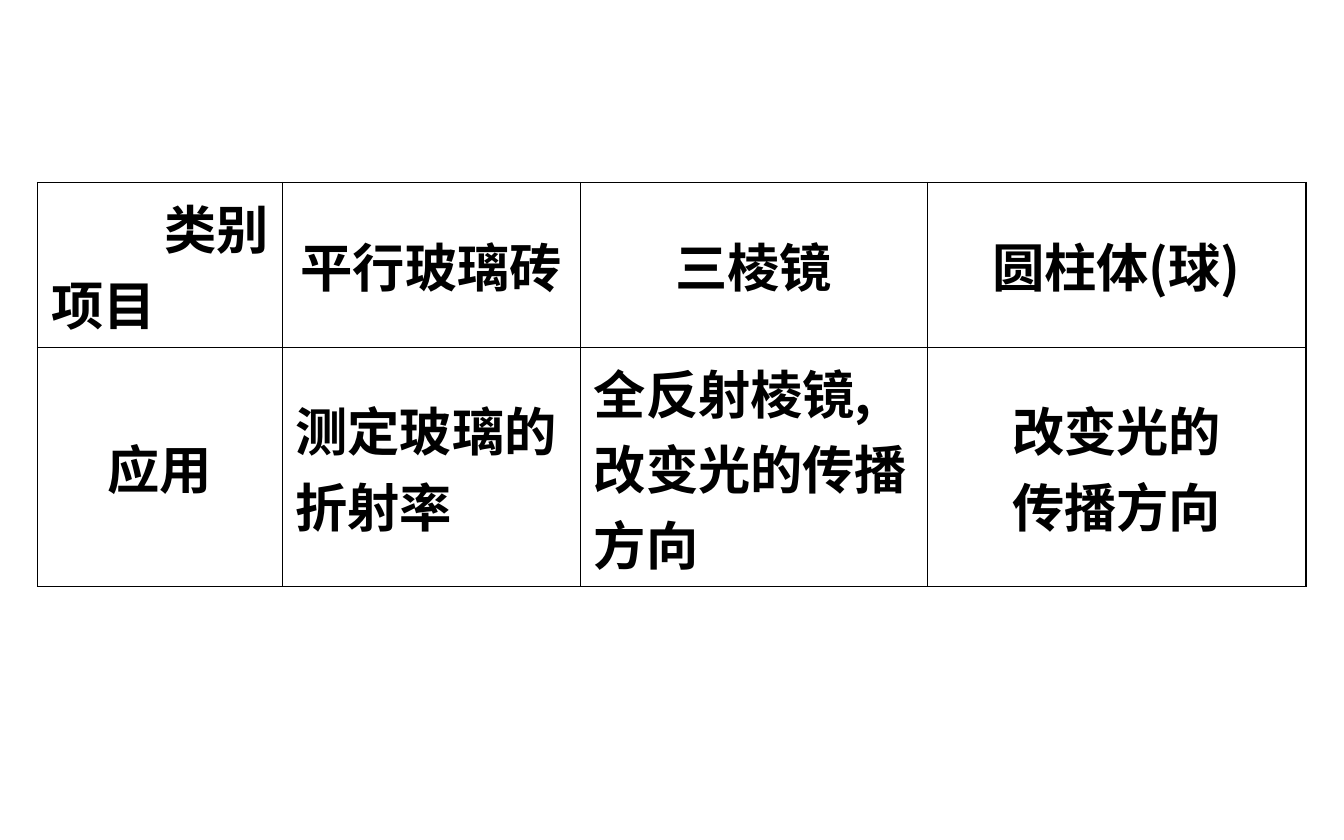
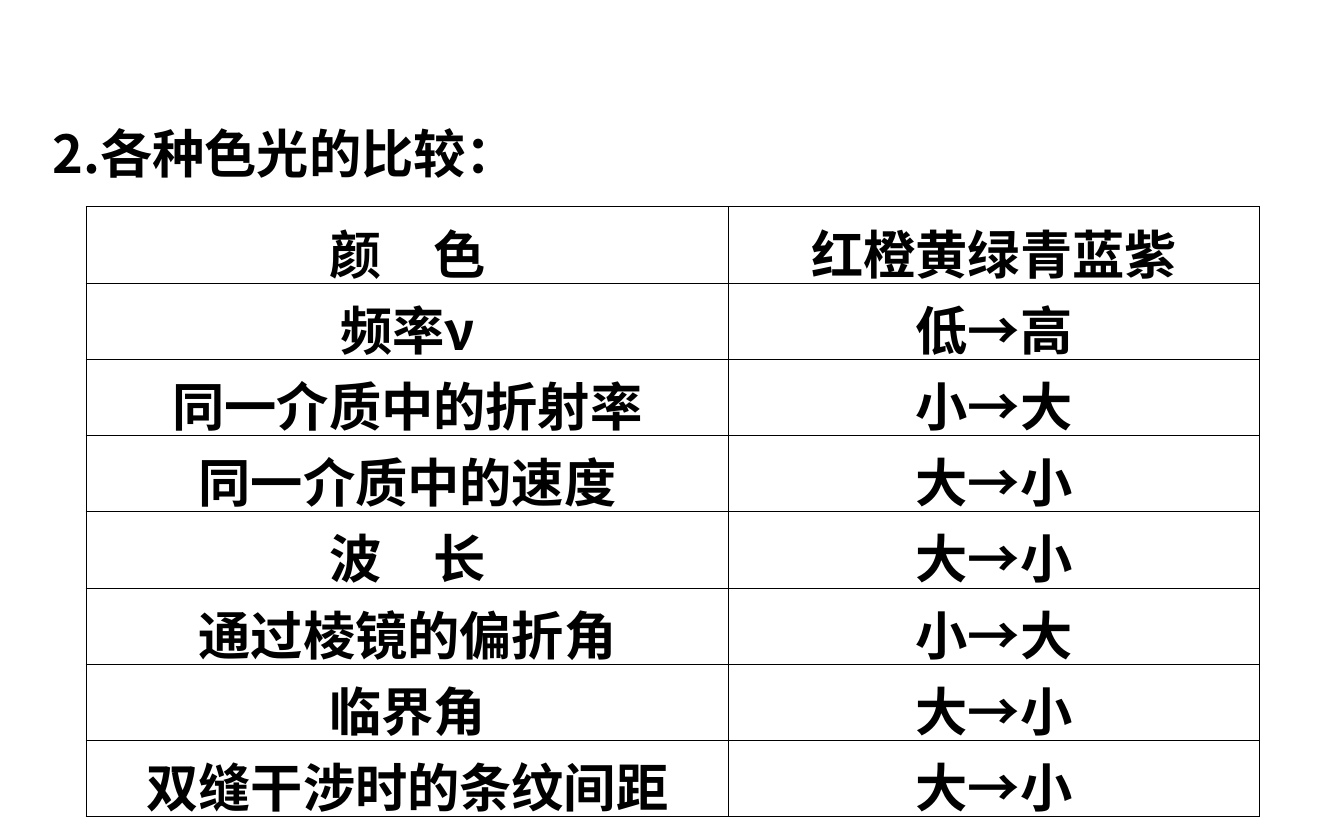
import pptx
import pptx.util
import pptx.dml.color
import pptx.enum.text
import pptx.oxml
import pptx.oxml.ns
import lxml.etree

Cm = pptx.util.Cm
Pt = pptx.util.Pt
ALIGN = pptx.enum.text.PP_ALIGN
ANCHOR = pptx.enum.text.MSO_ANCHOR

COLORS = {"ink": "000000"}
FONT = "Noto Sans CJK SC"
FONT_SIZE = 28
OUTER_LINE = 0.75
INNER_LINE = 0.45
TITLE_ONLY, BLANK = 5, 6

USES_BOX = (0.71, 3.45)
USES_COLUMNS = [4.62, 5.64, 6.55, 7.16]
USES_ROWS = [3.07, 4.45]
USES = [
    ["类别\n项目", "平行玻璃砖", "三棱镜", "圆柱体(球)"],
    ["应用", "测定玻璃的折射率", "全反射棱镜,改变光的传播方向", "改变光的\n传播方向"],
]
USES_ALIGN = {
    "类别": ALIGN.RIGHT,
    "项目": ALIGN.LEFT,
    "测定玻璃的折射率": ALIGN.LEFT,
    "全反射棱镜,改变光的传播方向": ALIGN.LEFT,
}

TITLE_BOX = (0.74, 1.57, 23.95, 2.03)
LIGHT_BOX = (1.63, 3.91)
LIGHT_COLUMNS = [12.14, 10.03]
LIGHT_ROW = 1.44
LIGHT = [
    ["颜　色", "红橙黄绿青蓝紫"],
    ["频率ν", "低→高"],
    ["同一介质中的折射率", "小→大"],
    ["同一介质中的速度", "大→小"],
    ["波　长", "大→小"],
    ["通过棱镜的偏折角", "小→大"],
    ["临界角", "大→小"],
    ["双缝干涉时的条纹间距", "大→小"],
]


def style_paragraph(para, alignment):
    para.alignment = alignment
    font = para.font
    font.name = FONT
    font.size = Pt(FONT_SIZE)
    font.bold = True
    font.color.rgb = pptx.dml.color.RGBColor.from_string(COLORS["ink"])
    properties = para._p.get_or_add_pPr().find(pptx.oxml.ns.qn("a:defRPr"))
    east_asian = lxml.etree.SubElement(properties, pptx.oxml.ns.qn("a:ea"))
    east_asian.set("typeface", FONT)


def set_border(cell, side, width):
    namespace = pptx.oxml.ns.nsdecls("a")
    line = pptx.oxml.parse_xml(
        f'<a:ln{side} {namespace} w="{int(Pt(width))}"><a:solidFill>'
        f'<a:srgbClr val="{COLORS["ink"]}"/></a:solidFill></a:ln{side}>'
    )
    cell._tc.get_or_add_tcPr().append(line)


def add_grid(page, box, columns, rows, content, alignments):
    left, top = box
    frame = page.shapes.add_table(
        len(rows), len(columns), Cm(left), Cm(top), Cm(sum(columns)), Cm(sum(rows))
    )
    table = frame.table
    table.first_row = False
    table.horz_banding = False
    for column, width in zip(table.columns, columns):
        column.width = Cm(width)
    for row, height in zip(table.rows, rows):
        row.height = Cm(height)
    for row_index, texts in enumerate(content):
        for column_index, text in enumerate(texts):
            cell = table.cell(row_index, column_index)
            cell.text = text
            cell.vertical_anchor = ANCHOR.MIDDLE
            for para in cell.text_frame.paragraphs:
                style_paragraph(para, alignments.get(para.text, ALIGN.CENTER))
            outer_sides = {
                "L": column_index == 0,
                "R": column_index == len(columns) - 1,
                "T": row_index == 0,
                "B": row_index == len(rows) - 1,
            }
            for side, is_outer in outer_sides.items():
                set_border(cell, side, OUTER_LINE if is_outer else INNER_LINE)
            cell.fill.background()


def add_title(page, box, text):
    title = page.shapes.title
    title.left, title.top, title.width, title.height = map(Cm, box)
    frame = title.text_frame
    frame.text = text
    frame.word_wrap = True
    frame.vertical_anchor = ANCHOR.TOP
    frame.auto_size = pptx.enum.text.MSO_AUTO_SIZE.SHAPE_TO_FIT_TEXT
    para = frame.paragraphs[0]
    para.line_spacing = 1.5
    style_paragraph(para, ALIGN.LEFT)


def build_uses_page(deck):
    page = deck.slides.add_slide(deck.slide_layouts[BLANK])
    add_grid(page, USES_BOX, USES_COLUMNS, USES_ROWS, USES, USES_ALIGN)


def build_light_page(deck):
    page = deck.slides.add_slide(deck.slide_layouts[TITLE_ONLY])
    add_title(page, TITLE_BOX, "2.各种色光的比较：")
    add_grid(page, LIGHT_BOX, LIGHT_COLUMNS, [LIGHT_ROW] * len(LIGHT), LIGHT, {})


def main():
    deck = pptx.Presentation()
    deck.slide_width = Cm(25.4)
    deck.slide_height = Cm(15.88)
    build_uses_page(deck)
    build_light_page(deck)
    deck.save("out.pptx")


if __name__ == "__main__":
    main()
